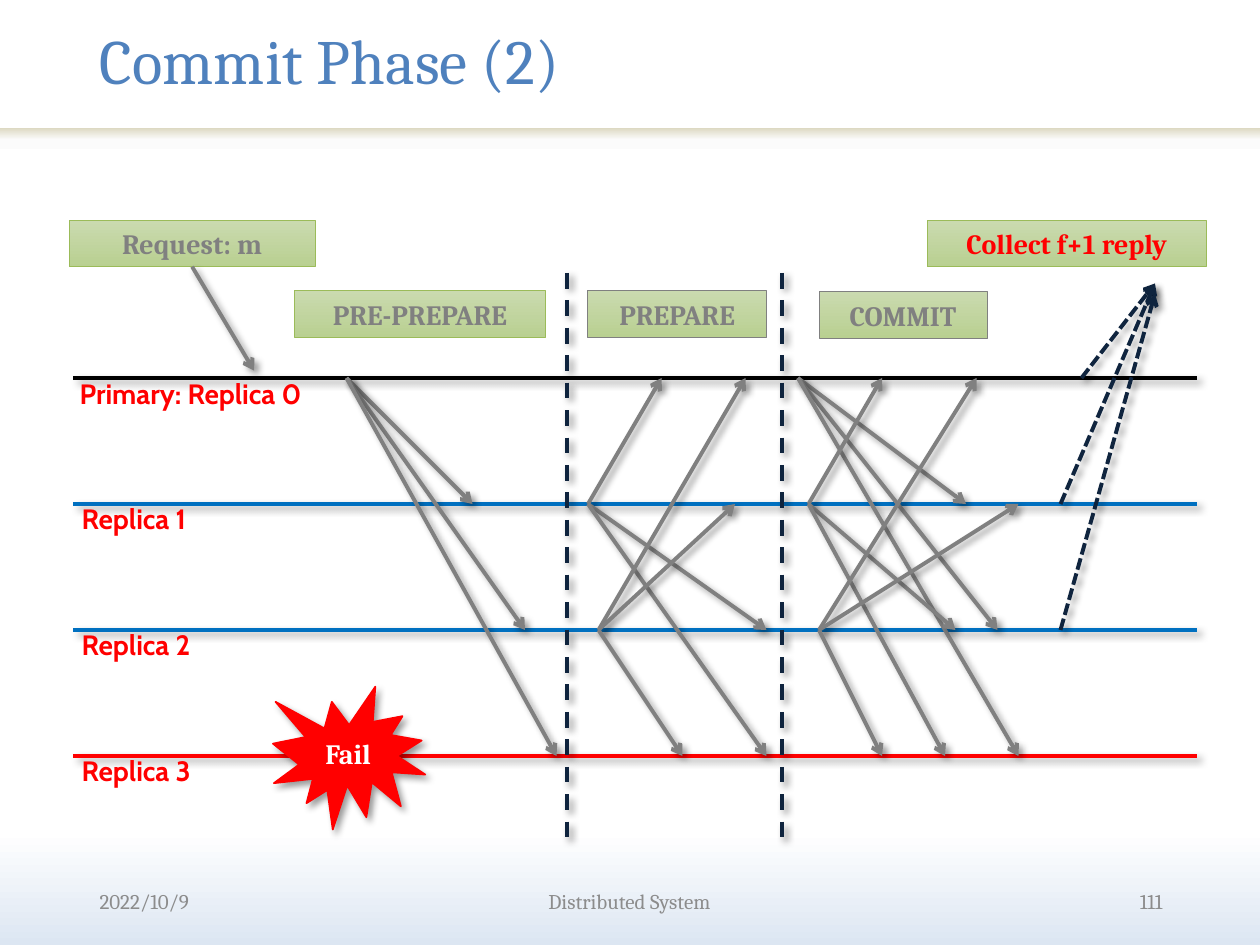
from lxml.etree import SubElement
from pptx import Presentation
from pptx.dml.color import RGBColor
from pptx.enum.dml import MSO_LINE
from pptx.enum.shapes import MSO_CONNECTOR, MSO_SHAPE
from pptx.enum.text import MSO_ANCHOR, PP_ALIGN
from pptx.oxml import parse_xml
from pptx.oxml.ns import nsdecls, qn
from pptx.util import Inches, Pt

color = RGBColor.from_string
LEFT, CENTER, RIGHT = PP_ALIGN.LEFT, PP_ALIGN.CENTER, PP_ALIGN.RIGHT
TOP, MIDDLE = MSO_ANCHOR.TOP, MSO_ANCHOR.MIDDLE
GRAY, GREEN, NAVY, RED, BLUE = "808080", "9BBB59", "0F243E", "FF0000", "0070C0"
SHADOW = (
    f'<a:effectLst {nsdecls("a")}><a:outerShdw blurRad="50800" dist="38100" dir="2700000">'
    '<a:srgbClr val="000000"><a:alpha val="40000"/></a:srgbClr></a:outerShdw></a:effectLst>'
)


def write(shape, text, size=16, font="Cambria", ink=GRAY, bold=True, align=LEFT, anchor=TOP):
    frame = shape.text_frame
    frame.word_wrap = True
    frame.vertical_anchor = anchor
    paragraph = frame.paragraphs[0]
    paragraph.text = text
    paragraph.alignment = align
    paragraph.font.size = Pt(size)
    paragraph.font.name = font
    paragraph.font.bold = bold
    paragraph.font.color.rgb = color(ink)
    return paragraph


def shade(fill, angle, *stops):
    fill.gradient()
    fill.gradient_angle = angle
    for stop, (position, tint) in zip(fill.gradient_stops, stops):
        stop.position = position
        stop.color.rgb = color(tint)


deck = Presentation()
deck.slide_width, deck.slide_height = Inches(10), Inches(7.5)
slide = deck.slides.add_slide(deck.slide_layouts[5])
shapes = slide.shapes
shade(slide.background.fill, 270, (0.88, "FFFFFF"), (1, "DCE6F2"))

# The grid has 120 columns and 90 rows of equal square cells.
cell = deck.slide_width / 120

header = shapes.add_shape(MSO_SHAPE.RECTANGLE, 0, round(12.2 * cell), deck.slide_width, round(2 * cell))
header.shadow.inherit = False
header.line.fill.background()
shade(header.fill, 90, (0.45, "FBFBFB"), (1, "DDD9C3"))

title = shapes.title
title.left, title.top, title.width, title.height = [round(n * cell) for n in (8.3, 0, 99.6, 12.2)]
heading = write(title, "Commit Phase (2)", size=36, ink="4F81BD", bold=False, anchor=MIDDLE)
heading.line_spacing = 0.9

messages = {}
for text, column, row, columns, border, ink in [
    ("Request: m", 6.6, 21, 23.4, GREEN, GRAY),
    ("PRE-PREPARE", 28, 27.7, 24, GREEN, GRAY),
    ("PREPARE", 56, 27.7, 17, GRAY, GRAY),
    ("COMMIT", 78, 27.8, 16, GRAY, GRAY),
    ("Collect f+1 reply", 88.3, 21, 26.6, GREEN, RED),
]:
    box = [round(n * cell) for n in (column, row, columns, 4.4)]
    message = shapes.add_shape(MSO_SHAPE.RECTANGLE, *box)
    message.shadow.inherit = False
    shade(message.fill, 270, (0, "CADAAF"), (1, "B9D091"))
    message.line.color.rgb = color(border)
    message.line.width = Pt(0.5)
    write(message, text, ink=ink, align=CENTER)
    messages[text] = message

lanes = [36, 48, 60, 72]
primary, replica1, replica2, replica3 = lanes
lane_inks = ["000000", BLUE, BLUE, RED]
routes = [((7, lane), (114, lane), ink, None, False) for lane, ink in zip(lanes, lane_inks)]
routes += [((column, 26), (column, 80), NAVY, MSO_LINE.DASH, False) for column in (54, 74.5)]

broadcasts = [
    ((33, primary), [(45, replica1), (50, replica2), (53, replica3)]),
    ((56, replica1), [(63, primary), (73, replica2), (73, replica3)]),
    ((57, replica2), [(71, primary), (70, replica1), (65, replica3)]),
    ((76, primary), [(92, replica1), (95, replica2), (97, replica3)]),
    ((77, replica1), [(84, primary), (91, replica2), (90, replica3)]),
    ((78, replica2), [(93, primary), (97, replica1), (84, replica3)]),
]
routes += [(sender, target, GRAY, None, True) for sender, targets in broadcasts for target in targets]

replies = [((103, primary), (110, 27)), ((101, replica1), (110, 27)), ((101, replica2), (110, 28))]
routes += [(start, end, NAVY, MSO_LINE.SQUARE_DOT, True) for start, end in replies]

request_route = ((18.3, 25.4), (24.2, 35.3), GRAY, None, True)
routes.append(request_route)

shadowed = []
for route in routes:
    start, end, ink, dash, arrow = route
    ends = [round(n * cell) for n in start + end]
    connector = shapes.add_connector(MSO_CONNECTOR.STRAIGHT, *ends)
    connector.line.color.rgb = color(ink)
    connector.line.width = Pt(2.25)
    if dash:
        connector.line.dash_style = dash
    if arrow:
        SubElement(connector._element.spPr.find(qn("a:ln")), qn("a:tailEnd"), type="arrow")
    if route is request_route:
        connector.begin_connect(messages["Request: m"], 2)
    shadowed.append(connector)

failure = shapes.add_shape(MSO_SHAPE.EXPLOSION1, *[round(n * cell) for n in (26, 65.4, 14.5, 13.6)])
failure.fill.solid()
failure.fill.fore_color.rgb = color(RED)
failure.line.color.rgb = color(RED)
failure.line.width = Pt(1)
write(failure, "Fail", ink="FFFFFF", align=CENTER, anchor=MIDDLE)
shadowed.append(failure)

for item in shadowed:
    item._element.spPr.append(parse_xml(SHADOW))

replica_style = dict(font="Cabin", ink=RED)
footer_style = dict(size=12, ink="8C8C8C", bold=False, anchor=MIDDLE)
labels = [("Primary: Replica 0", 6.4, primary - 0.7, 35.6, 4.4, replica_style)]
labels += [
    (f"Replica {number}", 6.6, lane - 0.8, 23.4, 4.4, replica_style)
    for number, lane in enumerate(lanes[1:], 1)
]
labels += [
    (text, column, 83.4, columns, 4.8, dict(footer_style, align=align))
    for text, column, columns, align in [
        ("2022/10/9", 8.3, 25, LEFT),
        ("Distributed System", 33.1, 53.7, CENTER),
        ("111", 86.9, 25, RIGHT),
    ]
]
for text, column, row, columns, rows, style in labels:
    box = [round(n * cell) for n in (column, row, columns, rows)]
    write(shapes.add_textbox(*box), text, **style)

deck.save("out.pptx")
